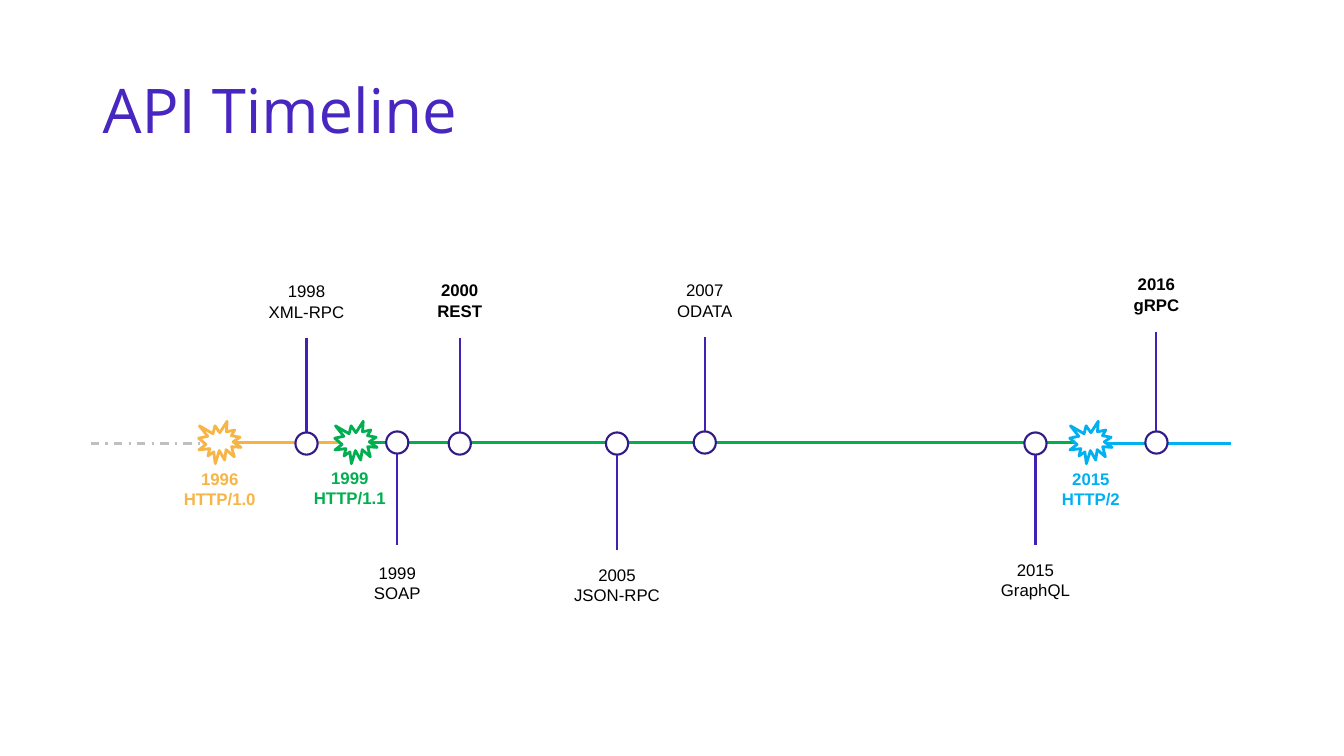
from copy import deepcopy
from dataclasses import dataclass

from pptx import Presentation
from pptx.dml.color import RGBColor
from pptx.enum.dml import MSO_LINE
from pptx.enum.shapes import MSO_CONNECTOR, MSO_SHAPE
from pptx.enum.text import MSO_ANCHOR, PP_ALIGN
from pptx.oxml.ns import qn
from pptx.oxml.xmlchemy import OxmlElement
from pptx.util import Inches, Pt

LINE = MSO_CONNECTOR.STRAIGHT
SEAL = MSO_SHAPE.EXPLOSION1
OVAL = MSO_SHAPE.OVAL
DASH = MSO_LINE.DASH_DOT
MID = MSO_ANCHOR.MIDDLE
TOP = MSO_ANCHOR.TOP
LEFT = PP_ALIGN.LEFT
CENTER = PP_ALIGN.CENTER


@dataclass(frozen=True)
class Theme:
    white: str = "FFFFFF"
    black: str = "000000"
    title: str = "4826C0"
    ring: str = "321B86"
    stem: str = "4120B5"
    gray: str = "BFBFBF"
    gold: str = "F7B548"
    amber: str = "F6B242"
    green: str = "00B050"
    blue: str = "00B0F0"
    head: str = "Open Sans"
    body: str = "Arial"
    large: int = 44
    small: int = 12
    thin: float = 1.5
    bold: float = 2


THEME = Theme()
DOT = 0.22
BURST = 0.42
TAG = (1.1, 0.5)

SPANS = [
    (10.96, 12.21, 4.4, THEME.blue, None),
    (3.69, 10.66, 4.39, THEME.green, None),
    (2.28, 3.53, 4.39, THEME.amber, None),
    (0.9, 2.04, 4.4, THEME.gray, DASH),
]
ERAS = [
    (2.18, 2.18, 4.6, "1996\nHTTP/1.0", THEME.gold),
    (3.53, 3.47, 4.59, "1999\nHTTP/1.1", THEME.green),
    (10.82, 10.82, 4.6, "2015\nHTTP/2", THEME.blue),
]
EVENTS = [
    (3.04, 4.4, 3.35, 2.74, "1998\nXML-RPC", False),
    (3.94, 4.39, 5.41, 5.53, "1999\nSOAP", False),
    (4.56, 4.4, 3.35, 2.73, "2000\nREST", True),
    (6.12, 4.4, 5.46, 5.55, "2005\nJSON-RPC", False),
    (6.99, 4.39, 3.34, 2.73, "2007\nODATA", False),
    (10.27, 4.4, 5.41, 5.5, "2015\nGraphQL", False),
    (11.47, 4.39, 3.29, 2.67, "2016\ngRPC", True),
]


def style(item, **values):
    for name, value in values.items():
        setattr(item, name, value)


def rgb(color):
    return RGBColor.from_string(color)


def add_line(slide, start, end, color, dash=None):
    line = slide.shapes.add_connector(LINE, *map(Inches, start + end))
    line.line.color.rgb = rgb(color)
    style(line.line, width=Pt(THEME.thin), dash_style=dash)
    line._element.spPr.append(OxmlElement("a:effectLst"))


def add_mark(slide, kind, x, y, size, color, width):
    box = (x - size / 2, y - size / 2, size, size)
    mark = slide.shapes.add_shape(kind, *map(Inches, box))
    mark.shadow.inherit = False
    mark.fill.solid()
    mark.fill.fore_color.rgb = rgb(THEME.white)
    mark.line.color.rgb = rgb(color)
    mark.line.width = Pt(width)


def add_text(slide, box, text, color, font, frame, para):
    area = slide.shapes.add_textbox(*map(Inches, box)).text_frame
    style(area, **frame)
    block = area.paragraphs[0]
    block.text = text
    style(block, **para)
    for run in block.runs:
        style(run.font, **font)
        run.font.color.rgb = rgb(color)
    for gap in block._p.findall(qn("a:br")):
        gap.append(deepcopy(block.runs[0]._r.rPr))


def add_title(slide, text):
    add_text(
        slide, (0.92, 0.4, 11.5, 1.45), text, THEME.title,
        {"name": THEME.head, "size": Pt(THEME.large)},
        {"word_wrap": True, "vertical_anchor": MID},
        {"alignment": LEFT, "line_spacing": 0.9},
    )


def add_tag(slide, x, y, text, color, bold):
    add_text(
        slide, (x - TAG[0] / 2, y, *TAG), text, color,
        {"name": THEME.body, "size": Pt(THEME.small), "bold": bold},
        {"word_wrap": True, "vertical_anchor": TOP},
        {"alignment": CENTER},
    )


def add_event(slide, x, y, end, tag, text, bold):
    edge = y + DOT / 2 if end > y else y - DOT / 2
    add_mark(slide, OVAL, x, y, DOT, THEME.ring, THEME.thin)
    add_line(slide, (x, edge), (x, end), THEME.stem)
    add_tag(slide, x, tag, text, THEME.black, bold)


def main():
    deck = Presentation()
    style(deck, slide_width=Inches(13.33), slide_height=Inches(7.5))
    slide = deck.slides.add_slide(deck.slide_layouts[6])
    add_title(slide, "API Timeline")
    for left, right, y, color, dash in SPANS:
        add_line(slide, (left, y), (right, y), color, dash)
    for x, mid, tag, text, color in ERAS:
        add_mark(slide, SEAL, x, 4.39, BURST, color, THEME.bold)
        add_tag(slide, mid, tag, text, color, True)
    for event in EVENTS:
        add_event(slide, *event)
    deck.save("out.pptx")


if __name__ == "__main__":
    main()
